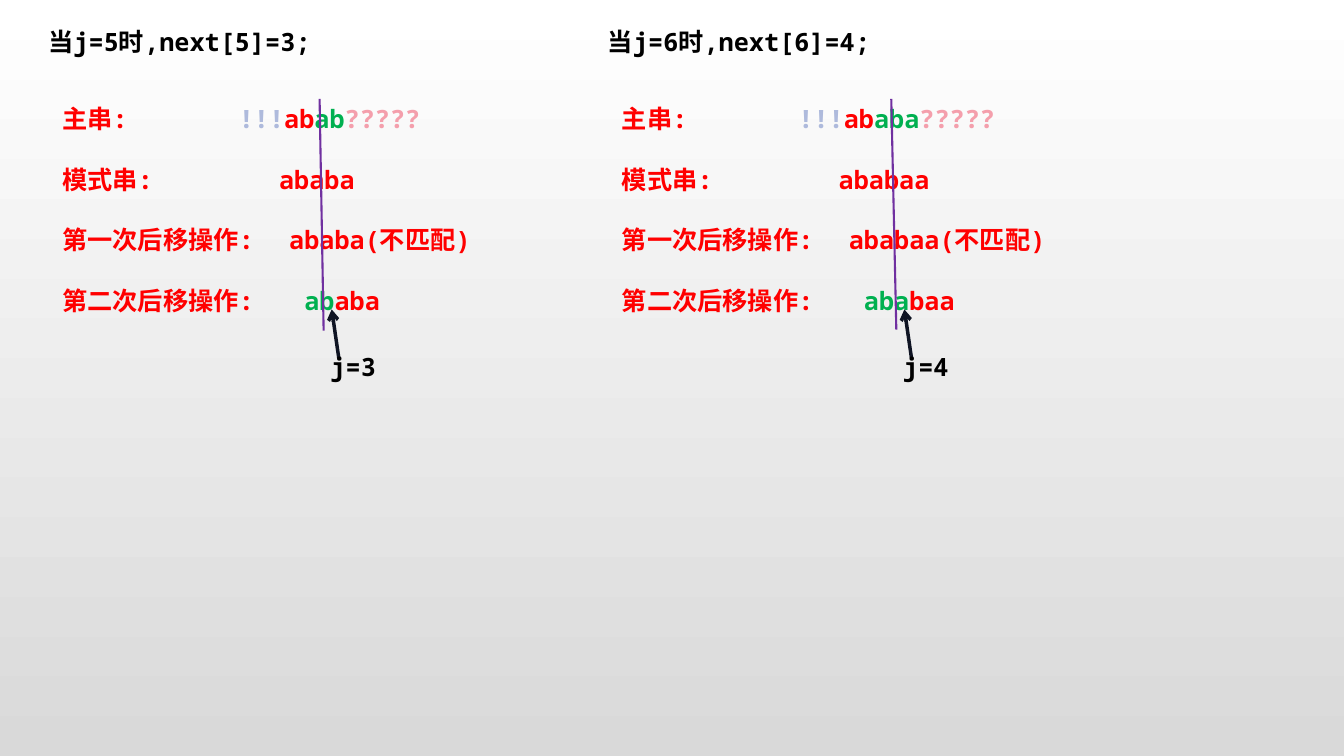
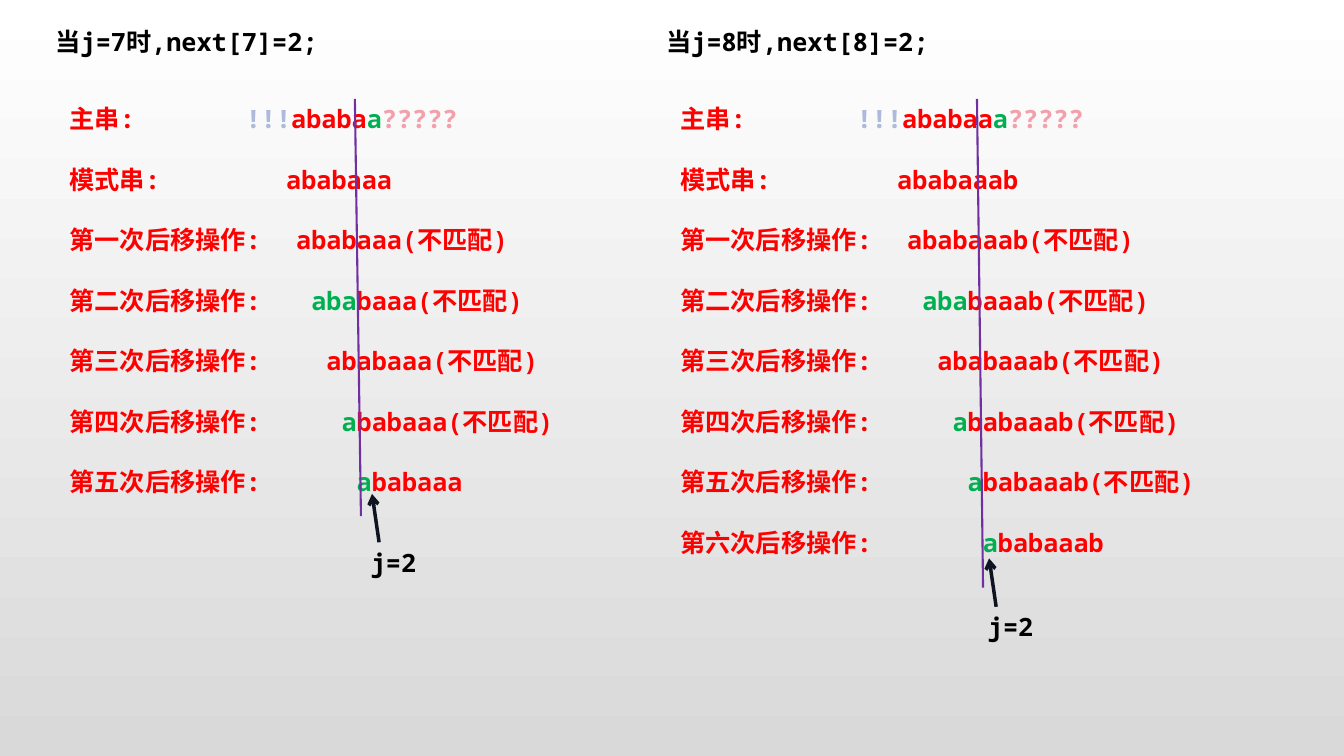
from dataclasses import dataclass
from itertools import takewhile

from lxml import etree
from pptx import Presentation
from pptx.dml.color import RGBColor
from pptx.enum.shapes import MSO_CONNECTOR
from pptx.enum.text import MSO_ANCHOR, MSO_AUTO_SIZE, PP_ALIGN
from pptx.oxml.ns import qn
from pptx.util import Inches, Pt

STRAIGHT = MSO_CONNECTOR.STRAIGHT
TOP = MSO_ANCHOR.TOP
LEFT = PP_ALIGN.LEFT
GROW = MSO_AUTO_SIZE.SHAPE_TO_FIT_TEXT

WHITE = RGBColor(0xFF, 0xFF, 0xFF)
GRAY = RGBColor(0xD9, 0xD9, 0xD9)
BLACK = RGBColor(0x00, 0x00, 0x00)
RED = RGBColor(0xFF, 0x00, 0x00)
GREEN = RGBColor(0x00, 0xB0, 0x50)
PALE_BLUE = RGBColor(0xAE, 0xBA, 0xDC)
PALE_PINK = RGBColor(0xF4, 0x9F, 0xAC)
PURPLE = RGBColor(0x70, 0x30, 0xA0)
NAVY = RGBColor(0x0F, 0x14, 0x23)

FONT = "Noto Sans Mono"
TEXT_SIZE = Pt(18)
ROW_GAP = Pt(21.6)
TITLE_LAYOUT = 5

# Lengths in inches
CHAR = 0.15
ROW = 0.6
LINE = 0.4
HEADING_TOP = 0.21
STEPS_TOP = 0.98
STEPS_INDENT = 0.14
MAIN_TAB = 1.75
PATTERN_TAB = 2.15
SHIFT_TAB = 2.25

PATTERN = "ababaaab"
ORDINALS = "一二三四五六"


@dataclass
class Panel:
    """One value of j, with the places of its guide line, arrow and label."""
    j: int
    next_j: int
    left: float
    width: float
    guide_top: float
    guide_end: tuple
    arrow_tip: tuple
    label_drop: float


PAGES = [
    [Panel(5, 3, 0.38, 6.67, 3.17, (3.21, 3.28), (3.29, 3.07), 0.37),
     Panel(6, 4, 5.93, 4.82, 8.84, (8.89, 3.27), (8.97, 3.07), 0.37)],
    [Panel(7, 2, 0.45, 6.67, 3.52, (3.58, 5.12), (3.69, 4.9), 0.48),
     Panel(8, 2, 6.51, 6.67, 9.69, (9.75, 5.83), (9.81, 5.54), 0.48)],
]


def set_background(master):
    fill = master.background.fill
    fill.gradient()
    fill.gradient_angle = 270
    for stop, color in zip(fill.gradient_stops, (WHITE, GRAY)):
        stop.color.rgb = color


def place(box, left, top, width, height):
    box.left, box.top = Inches(left), Inches(top)
    box.width, box.height = Inches(width), Inches(height)
    frame = box.text_frame
    frame.word_wrap = True
    frame.auto_size = GROW
    frame.vertical_anchor = TOP
    return frame


def add_box(page, *area):
    return place(page.shapes.add_textbox(0, 0, 0, 0), *area)


def style(para, color):
    para.alignment = LEFT
    para.font.name = FONT
    para.font.size = TEXT_SIZE
    para.font.bold = True
    para.font.color.rgb = color


def write_line(frame, text):
    para = frame.paragraphs[0]
    para.text = text
    style(para, BLACK)


def set_tab(para, position):
    stops = etree.SubElement(para._p.get_or_add_pPr(), qn("a:tabLst"))
    etree.SubElement(stops, qn("a:tab"), pos=str(Inches(position)), algn="l")


def write_step(para, label, tab, spans):
    """Write a label, then (text, colour) spans that start at a tab stop."""
    para.space_after = ROW_GAP
    set_tab(para, tab)
    style(para, RED)
    for text, color in [(label + ":\t", RED), *spans]:
        if text:
            span = para.add_run()
            span.text = text
            span.font.color.rgb = color


def matched_length(pattern, text):
    pairs = takewhile(lambda pair: pair[0] == pair[1], zip(pattern, text))
    return len(list(pairs))


def list_steps(panel):
    """Return the label, tab and spans of each row, found by shifting."""
    pattern = PATTERN[:panel.j]
    known = pattern[:-1]
    shifts = panel.j - panel.next_j
    steps = [
        ("主串", MAIN_TAB, [("!!!", PALE_BLUE), (known[:shifts], RED),
                          (known[shifts:], GREEN), ("?????", PALE_PINK)]),
        ("模式串", PATTERN_TAB, [(pattern, RED)]),
    ]
    for shift in range(1, shifts + 1):
        match = matched_length(pattern, known[shift:])
        verdict = "(不匹配)" if shift < shifts else ""
        steps.append((f"第{ORDINALS[shift - 1]}次后移操作",
                      SHIFT_TAB + (shift - 1) * CHAR,
                      [(pattern[:match], GREEN),
                       (pattern[match:] + verdict, RED)]))
    return steps


def add_line(page, start, end, color, weight, arrow=False):
    line = page.shapes.add_connector(
        STRAIGHT, *(Inches(length) for length in (*start, *end)))
    line.line.color.rgb = color
    line.line.width = Pt(weight)
    if arrow:
        etree.SubElement(line.line._get_or_add_ln(), qn("a:tailEnd"),
                         type="arrow")
    etree.SubElement(line._element.spPr, qn("a:effectLst"))


def add_steps(page, panel):
    steps = list_steps(panel)
    frame = add_box(page, panel.left + STEPS_INDENT, STEPS_TOP,
                    panel.width - 0.41, len(steps) * ROW - 0.2)
    for index, step in enumerate(steps):
        para = frame.add_paragraph() if index else frame.paragraphs[0]
        write_step(para, *step)


def add_panel(page, panel, heading):
    write_line(place(heading, panel.left, HEADING_TOP, panel.width, LINE),
               f"当j={panel.j}时,next[{panel.j}]={panel.next_j};")
    add_steps(page, panel)
    add_line(page, panel.guide_end, (panel.guide_top, STEPS_TOP), PURPLE, 1.5)
    tip_x, tip_y = panel.arrow_tip
    add_line(page, (tip_x + 0.07, tip_y + 0.48), panel.arrow_tip, NAVY, 2.5,
             arrow=True)
    write_line(add_box(page, tip_x - 0.11, tip_y + panel.label_drop,
                       0.86, LINE), f"j={panel.next_j}")


def main():
    deck = Presentation()
    deck.slide_width, deck.slide_height = Inches(13.33), Inches(7.5)
    set_background(deck.slide_master)
    for first, second in PAGES:
        page = deck.slides.add_slide(deck.slide_layouts[TITLE_LAYOUT])
        add_panel(page, first, page.shapes.title)
        add_panel(page, second, page.shapes.add_textbox(0, 0, 0, 0))
    deck.save("out.pptx")


if __name__ == "__main__":
    main()
